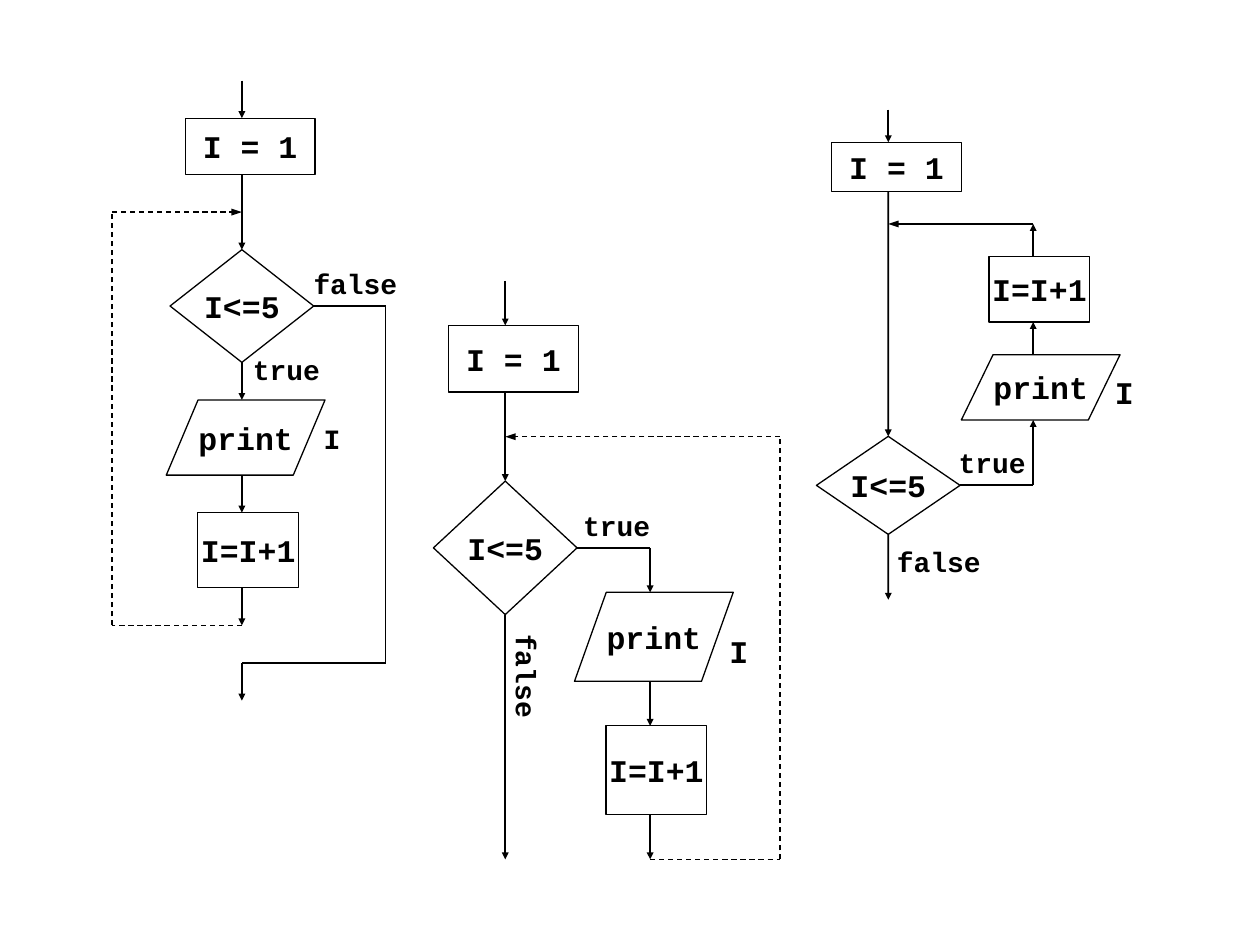
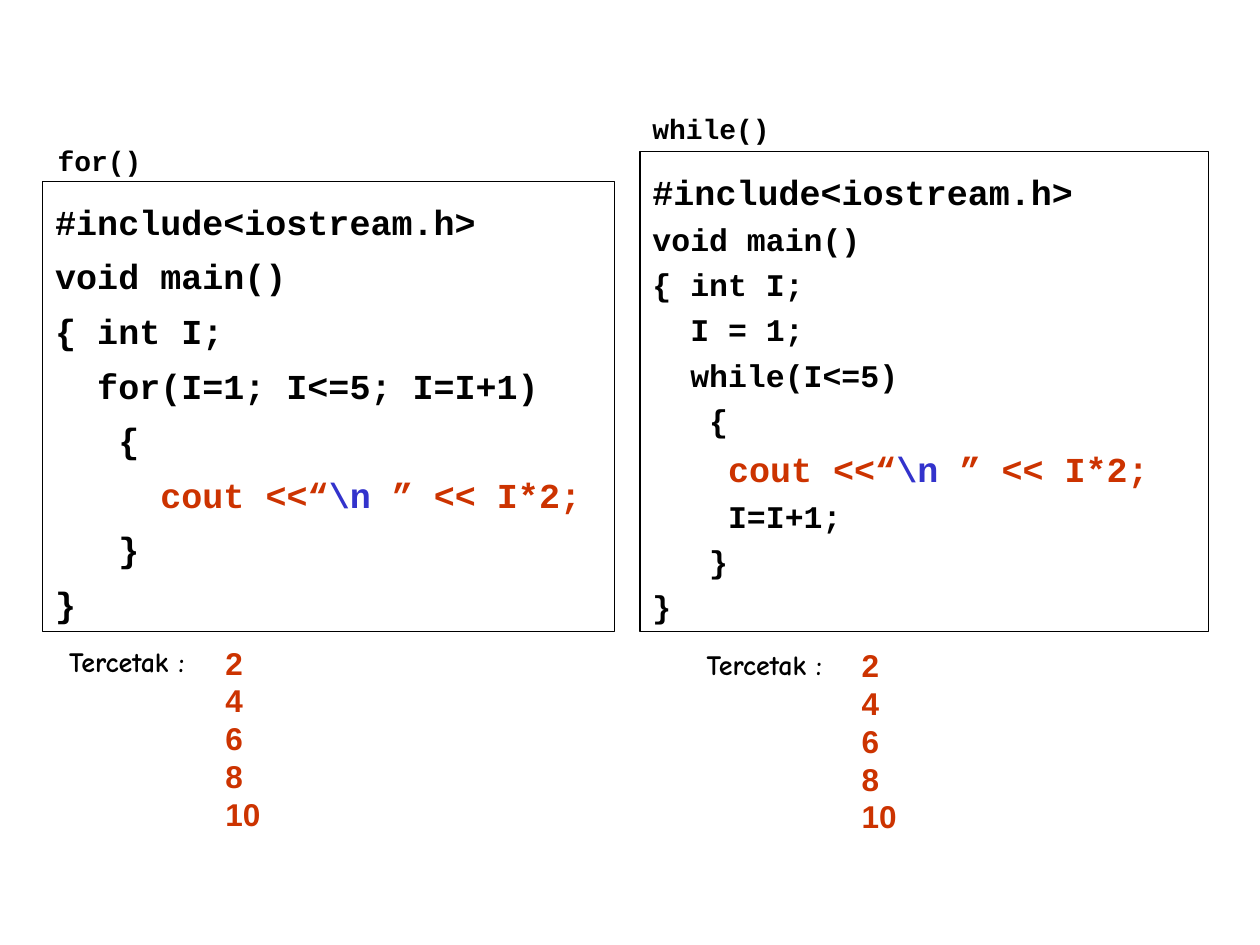
"""Build two slides: loop flowcharts and the matching loop programs."""
from dataclasses import dataclass
from typing import NamedTuple, Optional

from lxml.etree import SubElement
from pptx import Presentation
from pptx.dml.color import RGBColor
from pptx.enum.dml import MSO_LINE
from pptx.enum.shapes import MSO_CONNECTOR, MSO_SHAPE as Preset
from pptx.enum.text import MSO_ANCHOR as Anchor, MSO_AUTO_SIZE as AutoSize, PP_ALIGN as Align
from pptx.oxml.ns import qn
from pptx.util import Inches, Pt

BLACK = RGBColor(0x00, 0x00, 0x00)
RED = RGBColor(0xCC, 0x33, 0x00)
BLUE = RGBColor(0x33, 0x33, 0xCC)
CODE_FONT = "Courier New"
RESULT_FONT = "Arial"
CAPTION_FONT = "Comic Neue"
SIDE = 1.15
WORD_WIDTH = 0.9
JOIN_TOLERANCE = 0.02


class Span(NamedTuple):
    text: str
    color: Optional[RGBColor] = None
    size: Optional[float] = None


class Kind(NamedTuple):
    preset: Preset
    text: str
    offset: float
    width: float


class Node(NamedTuple):
    kind: Kind
    column: float
    top: float
    bottom: float


class Route(NamedTuple):
    points: list
    arrow: bool = True
    weight: float = 1
    dashed: bool = False


class Label(NamedTuple):
    text: str
    left: float
    top: float
    width: float = WORD_WIDTH
    height: float = 0.37
    size: float = 16
    rotation: float = 0


@dataclass
class Flowchart:
    axis: float
    top: float
    height: float
    rows: float
    nodes: list
    routes: list
    labels: list

    def place(self, column: float, row: float) -> tuple:
        """Turn a column offset and a grid row into inches on the page."""
        return self.axis + column, self.top + row * self.height / self.rows


@dataclass
class Program:
    title: Label
    box: tuple
    lines: list
    size: float
    spacing: float
    wrap: bool
    caption: tuple
    result: tuple


START = Kind(Preset.RECTANGLE, "I = 1", -0.45, 1.03)
TEST = Kind(Preset.FLOWCHART_DECISION, "I<=5", -0.57, 1.14)
PRINT = Kind(Preset.FLOWCHART_DATA, "print", -0.6, 1.26)
STEP = Kind(Preset.RECTANGLE, "I=I+1", -0.35, 0.8)

FLOWCHARTS = [
    Flowchart(
        1.92, 0.64, 4.92, 16.5,
        [Node(START, 0, 1, 2.5), Node(TEST, 0, 4.5, 7.5),
         Node(PRINT, 0, 8.5, 10.5), Node(STEP, 0, 11.5, 13.5)],
        [Route([(0, 0), (0, 1)]), Route([(0, 2.5), (0, 4.5)]),
         Route([(0, 7.5), (0, 8.5)]), Route([(0, 10.5), (0, 11.5)]),
         Route([(0, 13.5), (0, 14.5)]),
         Route([(0, 14.5), (-1.03, 14.5), (-1.03, 3.5), (0, 3.5)], True, 0.75, True),
         Route([(0.57, 6), (1.14, 6), (1.14, 15.5), (0, 15.5)], False, 0.75),
         Route([(0, 15.5), (0, 16.5)])],
        [Label("I", 2.47, 3.3, 0.35), Label("false", 2.39, 2.07),
         Label("true", 1.91, 2.75)],
    ),
    Flowchart(
        4.01, 2.23, 4.59, 13,
        [Node(START, 0, 1, 2.5), Node(TEST, 0, 4.5, 7.5),
         Node(PRINT, SIDE, 7, 9), Node(STEP, SIDE, 10, 12)],
        [Route([(0, 0), (0, 1)]), Route([(0, 2.5), (0, 4.5)]),
         Route([(0, 7.5), (0, 13)]),
         Route([(0.57, 6), (SIDE, 6), (SIDE, 7)]),
         Route([(SIDE, 9), (SIDE, 10)]), Route([(SIDE, 12), (SIDE, 13)]),
         Route([(SIDE, 13), (2.18, 13), (2.18, 3.5), (0, 3.5)], True, 0.75, True)],
        [Label("false", 3.73, 5.2, rotation=90), Label("true", 4.53, 3.99),
         Label("I", 5.69, 4.97, 0.36, 0.4, 18)],
    ),
    Flowchart(
        7.05, 0.87, 3.89, 15,
        [Node(START, 0, 1, 2.5), Node(TEST, 0, 10, 13),
         Node(PRINT, SIDE + 0.03, 7.5, 9.5), Node(STEP, SIDE, 4.5, 6.5)],
        [Route([(0, 0), (0, 1)]), Route([(0, 2.5), (0, 10)]),
         Route([(0, 13), (0, 15)]),
         Route([(0.57, 11.5), (SIDE, 11.5), (SIDE, 9.5)]),
         Route([(SIDE, 7.5), (SIDE, 6.5)]), Route([(SIDE, 4.5), (SIDE, 3.5)]),
         Route([(SIDE, 3.5), (0, 3.5)])],
        [Label("false", 7.02, 4.27), Label("true", 7.51, 3.49),
         Label("I", 8.75, 2.91, 0.36, 0.4, 18)],
    ),
]

INCLUDE = "#include<iostream.h>"
PRINT_LINE = [Span("cout <<“", RED, 20), Span("\\n", BLUE, 20), Span(" ” << I*2;", RED, 20)]
RESULTS = [str(number) for number in range(2, 11, 2)]

PROGRAMS = [
    Program(
        Label("for()", 0.36, 1.09), (0.34, 1.44, 4.54, 3.57),
        ["void main()", "{ int I;", "  for(I=1; I<=5; I=I+1)", "   {",
         [Span("     "), *PRINT_LINE], "   }", "}"],
        20, 1.3, False, (0.45, 5.07), (1.69, 5.06),
    ),
    Program(
        Label("while()", 5.08, 0.84, 1.16), (5.08, 1.2, 4.51, 3.81),
        ["void main()", "{ int I;", "  I = 1;", "  while(I<=5)", "   {",
         [Span("    "), *PRINT_LINE], "    I=I+1;", "   }", "}"],
        18, 1.2, True, (5.51, 5.09), (6.74, 5.08),
    ),
]


def write_text(shape, lines: list, *, size: float = 16, font: str = CODE_FONT,
               color: RGBColor = BLACK, align: Align = Align.LEFT,
               anchor: Anchor = Anchor.TOP, wrap: bool = False,
               grow: bool = False, spacing: Optional[float] = None) -> None:
    """Fill a shape with lines, each a string or a list of spans."""
    frame = shape.text_frame
    frame.word_wrap = wrap
    frame.auto_size = AutoSize.SHAPE_TO_FIT_TEXT if grow else AutoSize.NONE
    frame.vertical_anchor = anchor
    for index, line in enumerate(lines):
        para = frame.add_paragraph() if index else frame.paragraphs[0]
        para.alignment = align
        if spacing:
            para.line_spacing = spacing
        for span in [Span(line)] if isinstance(line, str) else line:
            run = para.add_run()
            run.text = span.text
            run.font.name = font
            run.font.bold = True
            run.font.size = Pt(span.size or size)
            run.font.color.rgb = span.color or color


def add_box(page, preset: Preset, left: float, top: float, width: float, height: float):
    """Add an unfilled shape with a thin black outline."""
    box = page.shapes.add_shape(preset, Inches(left), Inches(top), Inches(width), Inches(height))
    box.shadow.inherit = False
    box.fill.background()
    box.line.color.rgb = BLACK
    box.line.width = Pt(0.75)
    return box


def add_text(page, left: float, top: float, width: float, height: float, lines: list, **style):
    """Add a text box that grows with its text."""
    box = page.shapes.add_textbox(Inches(left), Inches(top), Inches(width), Inches(height))
    write_text(box, lines, grow=True, wrap=True, **style)
    return box


def add_label(page, label: Label) -> None:
    """Add a short code label."""
    box = add_text(page, label.left, label.top, label.width, label.height,
                   [label.text], size=label.size)
    box.rotation = label.rotation


def find_site(point: tuple, boxes: list) -> Optional[tuple]:
    """Find the box and side whose middle lies at a point."""
    x, y = (Inches(value) for value in point)
    for box in boxes:
        middle, center = box.left + box.width / 2, box.top + box.height / 2
        sides = [(middle, box.top), (box.left, center),
                 (middle, box.top + box.height), (box.left + box.width, center)]
        for site, (side_x, side_y) in enumerate(sides):
            if max(abs(side_x - x), abs(side_y - y)) < Inches(JOIN_TOLERANCE):
                return box, site
    return None


def add_line(page, start: tuple, end: tuple, route: Route, arrow: bool, boxes: list) -> None:
    """Add one straight connector and join it to the boxes it meets."""
    line = page.shapes.add_connector(
        MSO_CONNECTOR.STRAIGHT, *(Inches(value) for value in (*start, *end)))
    for point, join in ((start, line.begin_connect), (end, line.end_connect)):
        site = find_site(point, boxes)
        if site:
            join(*site)
    line.line.color.rgb = BLACK
    line.line.width = Pt(route.weight)
    if route.dashed:
        line.line.dash_style = MSO_LINE.DASH
    properties = line.element.spPr
    if arrow:
        length = "med" if start[1] == end[1] else "sm"
        SubElement(properties.find(qn("a:ln")), qn("a:tailEnd"),
                   type="triangle", w="sm", len=length)
    SubElement(properties, qn("a:effectLst"))


def draw_flowchart(page, chart: Flowchart) -> None:
    """Draw the boxes, routes and labels of one flowchart."""
    boxes = []
    for node in chart.nodes:
        left, top = chart.place(node.column + node.kind.offset, node.top)
        bottom = chart.place(0, node.bottom)[1]
        box = add_box(page, node.kind.preset, left, top, node.kind.width, bottom - top)
        write_text(box, [node.kind.text], size=18, align=Align.CENTER, anchor=Anchor.MIDDLE)
        boxes.append(box)
    for route in chart.routes:
        points = [chart.place(*point) for point in route.points]
        for start, end in zip(points, points[1:]):
            add_line(page, start, end, route, route.arrow and end == points[-1], boxes)
    for label in chart.labels:
        add_label(page, label)


def draw_program(page, program: Program) -> None:
    """Draw a code panel with its title and printed results."""
    box = add_box(page, Preset.RECTANGLE, *program.box)
    write_text(box, [[Span(INCLUDE, size=20)], *program.lines], size=program.size,
               wrap=program.wrap, grow=True, spacing=program.spacing)
    box.text_frame.paragraphs[0].line_spacing = 1.3
    add_label(page, program.title)
    add_text(page, *program.caption, 1.2, 0.37, ["Tercetak :"], font=CAPTION_FONT)
    add_text(page, *program.result, 0.52, 1.6, RESULTS, size=18, font=RESULT_FONT, color=RED)


def main() -> None:
    """Build and save the deck."""
    deck = Presentation()
    deck.slide_width, deck.slide_height = Inches(10), Inches(7.5)
    for items, draw in ((FLOWCHARTS, draw_flowchart), (PROGRAMS, draw_program)):
        page = deck.slides.add_slide(deck.slide_layouts[6])
        for item in items:
            draw(page, item)
    deck.save("out.pptx")


if __name__ == "__main__":
    main()
